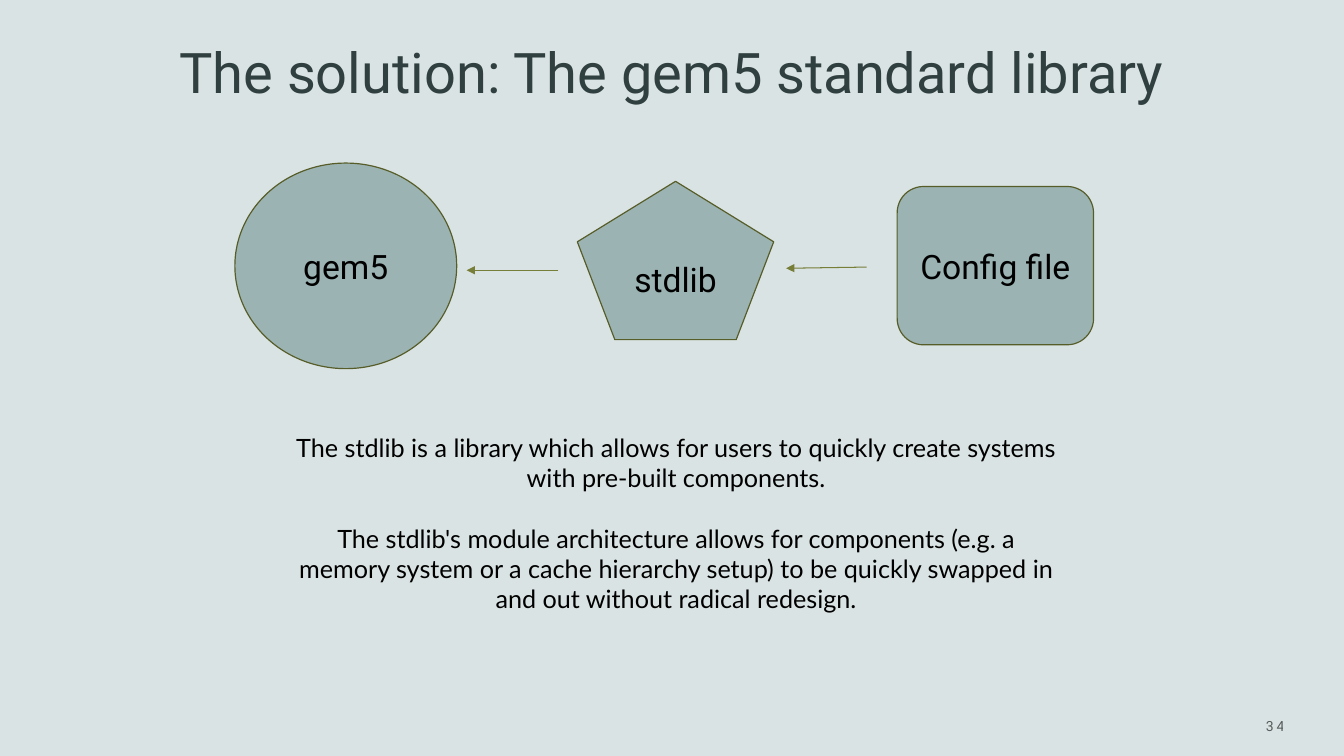
from lxml.etree import SubElement
from pptx import Presentation
from pptx.dml.color import RGBColor
from pptx.enum.shapes import MSO_CONNECTOR, MSO_SHAPE
from pptx.enum.text import MSO_ANCHOR, MSO_AUTO_SIZE, PP_ALIGN
from pptx.oxml.ns import qn
from pptx.util import Cm, Pt

THEME = {
    "background": RGBColor.from_string("DAE3E3"),
    "fill": RGBColor.from_string("9BB3B3"),
    "outline": RGBColor.from_string("575D29"),
    "arrow": RGBColor.from_string("767E37"),
    "title": {"size": Pt(40), "name": "Roboto", "color": RGBColor.from_string("303F3F")},
    "node": {"size": Pt(24), "name": "Roboto", "color": RGBColor(0, 0, 0)},
    "body": {"size": Pt(18), "name": "Lato", "color": RGBColor(0, 0, 0)},
    "number": {"size": Pt(10), "name": "Roboto", "color": RGBColor(0, 0, 0)},
}


def place(sp, left, top, width, height):
    box = {"left": left, "top": top, "width": width, "height": height}
    for key, value in box.items():
        setattr(sp, key, Cm(value))


def write(tf, texts, style, anchor, align=PP_ALIGN.CENTER, gap=0):
    frame = {"word_wrap": True, "vertical_anchor": anchor, "auto_size": MSO_AUTO_SIZE.NONE}
    for key, value in frame.items():
        setattr(tf, key, value)
    for i, text in enumerate(texts):
        p = tf.add_paragraph() if i else tf.paragraphs[0]
        layout = {"alignment": align, "space_before": Pt(gap if i else 0), "space_after": Pt(0)}
        for key, value in layout.items():
            setattr(p, key, value)
        r = p.add_run()
        r.text = text
        for key in ("size", "name"):
            setattr(r.font, key, THEME[style][key])
        r.font.color.rgb = THEME[style]["color"]


prs = Presentation()
prs.slide_width, prs.slide_height = Cm(33.87), Cm(19.05)
s = prs.slides.add_slide(prs.slide_layouts[1])
s.background.fill.solid()
s.background.fill.fore_color.rgb = THEME["background"]

title = s.shapes.title
place(title, 2.74, 1.09, 28.37, 1.68)
write(title.text_frame, ["The solution: The gem5 standard library"], "title", MSO_ANCHOR.BOTTOM)

nodes = [
    ("gem5", MSO_SHAPE.OVAL, 5.92, 4.11, 5.59, 5.18),
    ("stdlib", MSO_SHAPE.REGULAR_PENTAGON, 14.55, 4.57, 4.95, 3.99),
    ("Config file", MSO_SHAPE.ROUNDED_RECTANGLE, 22.61, 4.7, 4.95, 3.99),
]
for text, kind, *box in nodes:
    sp = s.shapes.add_shape(kind, *map(Cm, box))
    sp.shadow.inherit = False
    sp.fill.solid()
    sp.fill.fore_color.rgb = THEME["fill"]
    sp.line.color.rgb = THEME["outline"]
    sp.line.width = Pt(0.85)
    write(sp.text_frame, [text], "node", MSO_ANCHOR.MIDDLE)

for ends in [(14.07, 6.81, 11.76, 6.81), (21.84, 6.73, 19.81, 6.76)]:
    arrow = s.shapes.add_connector(MSO_CONNECTOR.STRAIGHT, *map(Cm, ends))
    arrow.line.color.rgb = THEME["arrow"]
    arrow.line.width = Pt(0.75)
    SubElement(arrow.line._get_or_add_ln(), qn("a:tailEnd"), type="triangle")
    SubElement(arrow._element.spPr, qn("a:effectLst"))

body = s.placeholders[1]
place(body, 7.11, 10.77, 19.86, 4.88)
write(body.text_frame, [
    "The stdlib is a library which allows for users to quickly create systems with pre-built components.",
    "The stdlib's module architecture allows for components (e.g. a memory system or a cache hierarchy setup) "
    "to be quickly swapped in and out without radical redesign.",
], "body", MSO_ANCHOR.TOP, gap=21.6)
for p in body.text_frame.paragraphs:
    pPr = p._p.get_or_add_pPr()
    for key in ("marL", "indent"):
        pPr.set(key, "0")
    SubElement(pPr, qn("a:buNone"))

number = s.shapes.add_textbox(Cm(27.74), Cm(17.65), Cm(4.88), Cm(1.27))
write(number.text_frame, ["34"], "number", MSO_ANCHOR.MIDDLE, PP_ALIGN.RIGHT)
rPr = number.text_frame.paragraphs[0].runs[0]._r.get_or_add_rPr()
rPr.set("spc", "200")
SubElement(rPr.find(".//" + qn("a:srgbClr")), qn("a:alpha"), val="60000")

prs.save("out.pptx")
